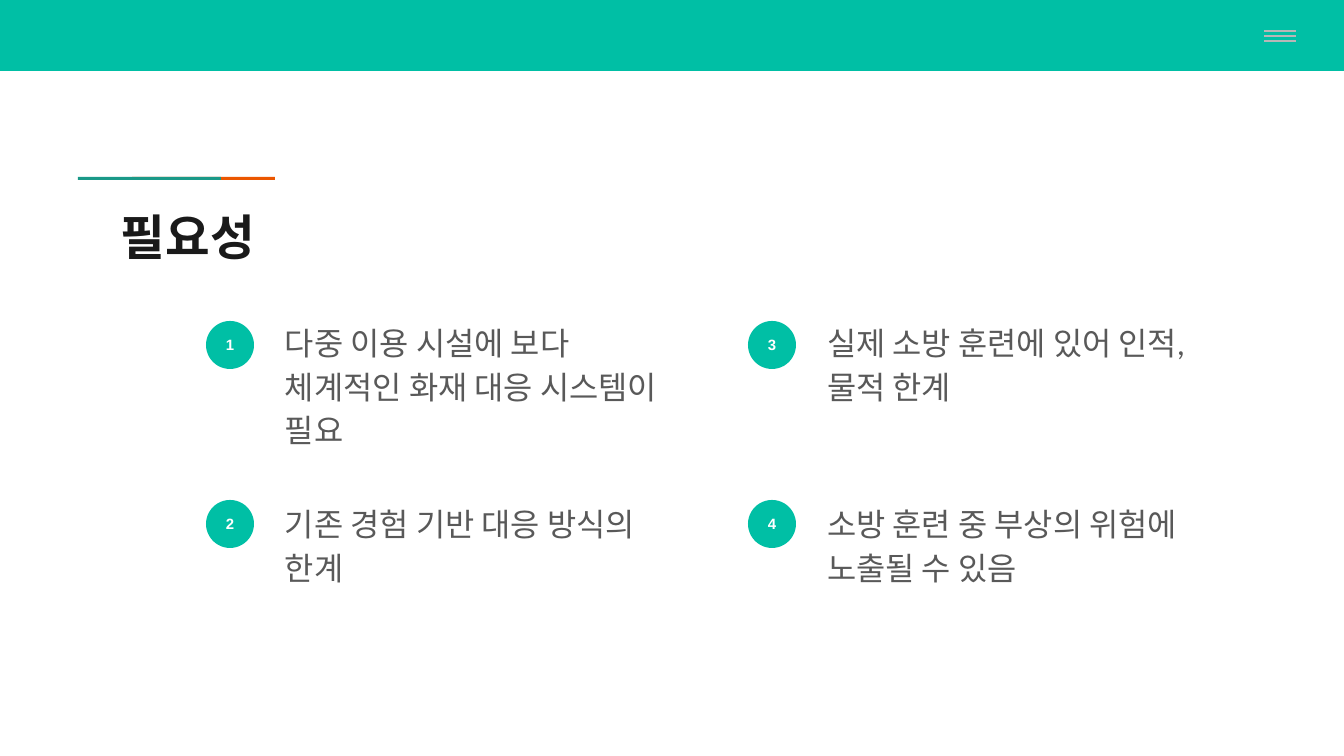
from dataclasses import dataclass

from lxml import etree
from pptx import Presentation
from pptx.dml.color import RGBColor
from pptx.enum.shapes import MSO_CONNECTOR, MSO_SHAPE
from pptx.enum.text import MSO_ANCHOR, PP_ALIGN
from pptx.oxml.ns import qn
from pptx.util import Emu, Pt

RECT, OVAL = MSO_SHAPE.RECTANGLE, MSO_SHAPE.OVAL
STRAIGHT = MSO_CONNECTOR.STRAIGHT
TOP, MIDDLE = MSO_ANCHOR.TOP, MSO_ANCHOR.MIDDLE
LEFT, CENTER = PP_ALIGN.LEFT, PP_ALIGN.CENTER
EMU_PER_PX = 914400 / 134.4


@dataclass(frozen=True)
class Theme:
    primary: str = "00BFA5"
    teal: str = "1A9988"
    orange: str = "EB5600"
    menu: str = "B7B7B7"
    title: str = "1A1A1A"
    body: str = "595959"
    white: str = "FFFFFF"
    title_font: str = "Manrope"
    body_font: str = "Lato"
    badge_font: str = "Arial"
    title_size: int = 26
    body_size: int = 17
    badge_size: int = 8
    menu_width: float = 0.75


def px(n):
    return Emu(round(n * EMU_PER_PX))


def write(tf, text, *, font, size, color, bold=False, align=LEFT,
          anchor=TOP, spacing=None, after=None):
    tf.word_wrap = True
    tf.vertical_anchor = anchor
    tf.margin_left = tf.margin_right = px(13)
    tf.margin_top = tf.margin_bottom = px(13)
    p = tf.paragraphs[0]
    p.alignment = align
    if spacing:
        p.line_spacing = spacing
    if after:
        p.space_after = Pt(after)
    r = p.add_run()
    r.text = text
    r.font.name = font
    r.font.size = Pt(size)
    r.font.bold = bold
    r.font.color.rgb = RGBColor.from_string(color)


class Deck:
    def __init__(self, theme, width, height):
        self.theme = theme
        self.prs = Presentation()
        self.prs.slide_width, self.prs.slide_height = px(width), px(height)
        self.s = self.prs.slides.add_slide(self.prs.slide_layouts[6])

    def shape(self, kind, x, y, w, h, color):
        sp = self.s.shapes.add_shape(kind, px(x), px(y), px(w), px(h))
        sp.shadow.inherit = False
        sp.fill.solid()
        sp.fill.fore_color.rgb = RGBColor.from_string(color)
        sp.line.fill.background()
        return sp

    def line(self, x1, y1, x2, y2, color, width):
        cx = self.s.shapes.add_connector(STRAIGHT, px(x1), px(y1), px(x2), px(y2))
        cx.line.color.rgb = RGBColor.from_string(color)
        cx.line.width = Pt(width)
        etree.SubElement(cx._element.spPr, qn("a:effectLst"))

    def text(self, x, y, w, h, text, **fmt):
        sp = self.s.shapes.add_textbox(px(x), px(y), px(w), px(h))
        write(sp.text_frame, text, **fmt)

    def badge(self, x, y, d, label):
        t = self.theme
        sp = self.shape(OVAL, x, y, d, d, t.primary)
        write(sp.text_frame, label, font=t.badge_font, size=t.badge_size,
              color=t.white, bold=True, align=CENTER, anchor=MIDDLE)


def main():
    t = Theme()
    deck = Deck(t, 1344, 756)

    deck.shape(RECT, 0, 0, 1344, 71, t.primary)
    for y in (31, 36, 41):
        deck.line(1264, y, 1296, y, t.menu, t.menu_width)
    deck.shape(RECT, 132, 177, 143, 3, t.orange)
    deck.shape(RECT, 78, 177, 143, 3, t.teal)
    deck.text(108, 194, 1130, 79, "필요성", font=t.title_font,
              size=t.title_size, color=t.title, bold=True)

    reasons = [
        "다중 이용 시설에 보다 체계적인 화재 대응 시스템이 필요",
        "기존 경험 기반 대응 방식의 한계",
        "실제 소방 훈련에 있어 인적, 물적 한계",
        "소방 훈련 중 부상의 위험에 노출될 수 있음",
    ]
    for i, reason in enumerate(reasons):
        col, row = divmod(i, 2)
        x = 206 + 542 * col
        deck.badge(x, 321 + 179 * row, 48, str(i + 1))
        deck.text(x + 66, 305 + 181 * row, 417, 155, reason, font=t.body_font,
                  size=t.body_size, color=t.body, spacing=1.15, after=16)

    deck.prs.save("out.pptx")


if __name__ == "__main__":
    main()
